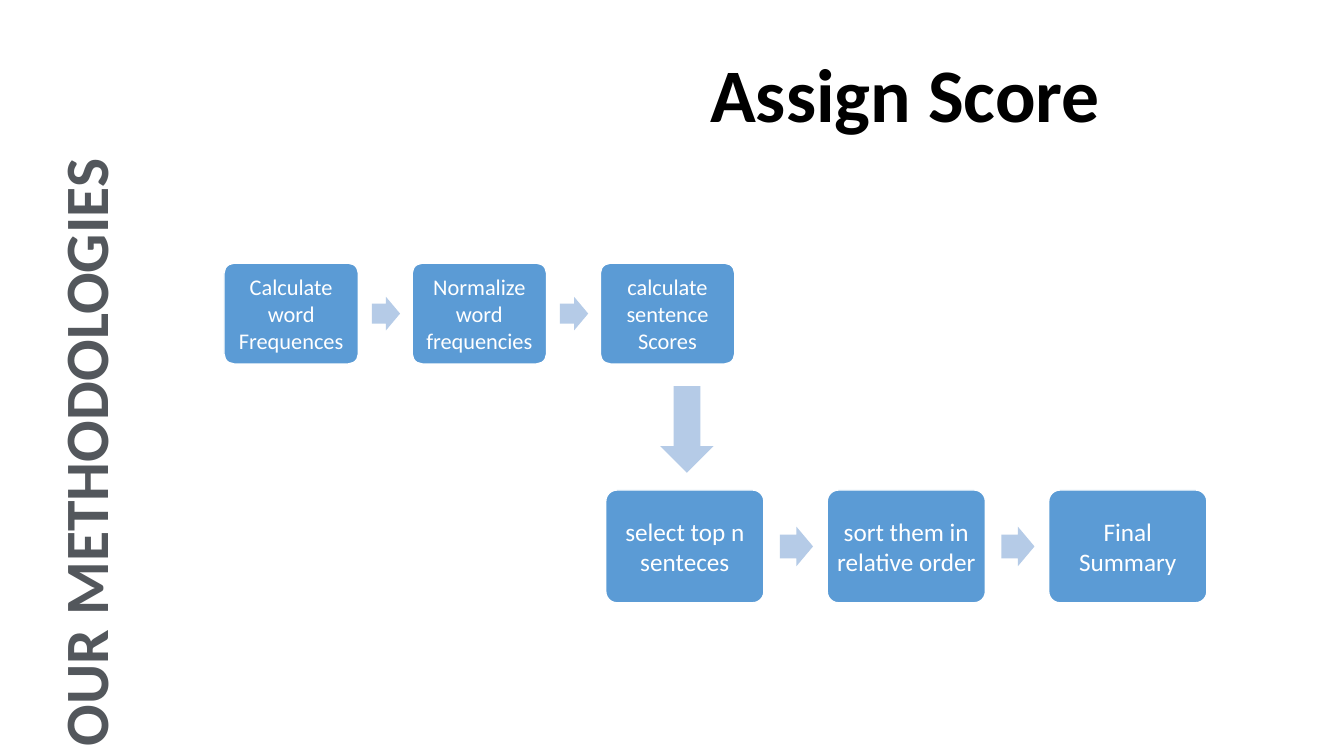
from pptx import Presentation
from pptx.dml.color import RGBColor
from pptx.enum.shapes import MSO_SHAPE as Preset
from pptx.enum.text import MSO_ANCHOR as Anchor, MSO_AUTO_SIZE as AutoSize, PP_ALIGN as Align
from pptx.util import Pt

COLORS = {
    "title": "000000",
    "box": "5B9BD5",
    "outline": "FFFFFF",
    "box_text": "FFFFFF",
    "arrow": "B5CBE7",
    "banner_dark": "53575C",
    "banner_light": "C5C7CA",
}

SCORING_STEPS = [
    "Calculate word Frequences",
    "Normalize word frequencies",
    "calculate sentence Scores",
]
SUMMARY_STEPS = ["select top n senteces", "sort them in relative order", "Final Summary"]


def color(name):
    return RGBColor.from_string(COLORS[name])


def apply(target, values):
    for name, value in values.items():
        setattr(target, name, value)


def write(shape, text, size, align, bold=False, inset=None):
    frame = shape.text_frame
    layout = {"word_wrap": True, "vertical_anchor": Anchor.MIDDLE}
    if inset is not None:
        sides = ("left", "top", "right", "bottom")
        layout.update({f"margin_{side}": Pt(inset) for side in sides})
    apply(frame, layout)
    para = frame.paragraphs[0]
    para.alignment = align
    span = para.add_run()
    span.text = text
    apply(span.font, {"name": "Calibri", "size": Pt(size), "bold": bold})
    return span.font


def add_title(page, text):
    title = page.shapes.title
    apply(title, {"left": Pt(222), "top": Pt(29.5), "width": Pt(571), "height": Pt(72.7)})
    font = write(title, text, 54, Align.RIGHT, bold=True)
    font.color.rgb = color("title")
    title.text_frame.auto_size = AutoSize.SHAPE_TO_FIT_TEXT


def add_banner(page, text):
    banner = page.shapes.add_textbox(Pt(30.2), Pt(102.2), Pt(67.7), Pt(437.8))
    banner.rotation = 180
    font = write(banner, text, 44, Align.CENTER, bold=True)
    banner.text_frame.vertical_anchor = Anchor.TOP
    banner.text_frame._txBody.bodyPr.set("vert", "eaVert")
    font.fill.gradient()
    font.fill.gradient_angle = 270
    stops = [("banner_dark", 0.21), ("banner_light", 0.88)]
    for stop, (name, position) in zip(font.fill.gradient_stops, stops):
        stop.color.rgb = color(name)
        stop.position = position


def add_solid(shapes, preset, left, top, width, height, fill):
    shape = shapes.add_shape(preset, Pt(left), Pt(top), Pt(width), Pt(height))
    shape.shadow.inherit = False
    shape.fill.solid()
    shape.fill.fore_color.rgb = color(fill)
    shape.line.fill.background()
    return shape


def add_step(shapes, text, left, top, width, height, size):
    box = add_solid(shapes, Preset.ROUNDED_RECTANGLE, left, top, width, height, "box")
    box.adjustments[0] = 0.1
    box.line.color.rgb = color("outline")
    box.line.width = Pt(1)
    font = write(box, text, size, Align.CENTER, inset=3)
    font.color.rgb = color("box_text")


def add_process(page, steps, left, top, width, height, size):
    shapes = page.shapes.add_group_shape().shapes
    arrow_width, arrow_height = 0.21 * width, 0.25 * width
    for index, text in enumerate(steps):
        box_left = left + index * 1.4 * width
        add_step(shapes, text, box_left, top, width, height, size)
        if index < len(steps) - 1:
            arrow = add_solid(shapes, Preset.RIGHT_ARROW, box_left + 1.1 * width,
                              top + (height - arrow_height) / 2,
                              arrow_width, arrow_height, "arrow")
            arrow.adjustments[0] = 0.6


def main():
    deck = Presentation()
    apply(deck, {"slide_width": Pt(960), "slide_height": Pt(540)})
    page = deck.slides.add_slide(deck.slide_layouts[5])
    add_banner(page, "OUR METHODOLOGIES")
    add_title(page, "Assign Score")
    add_process(page, SCORING_STEPS, 160, 188, 96, 72, 16)
    add_process(page, SUMMARY_STEPS, 432.7, 350, 113, 80.6, 18)
    add_solid(page.shapes, Preset.DOWN_ARROW, 471.6, 275.8, 38.2, 61.9, "arrow")
    deck.save("out.pptx")


if __name__ == "__main__":
    main()
